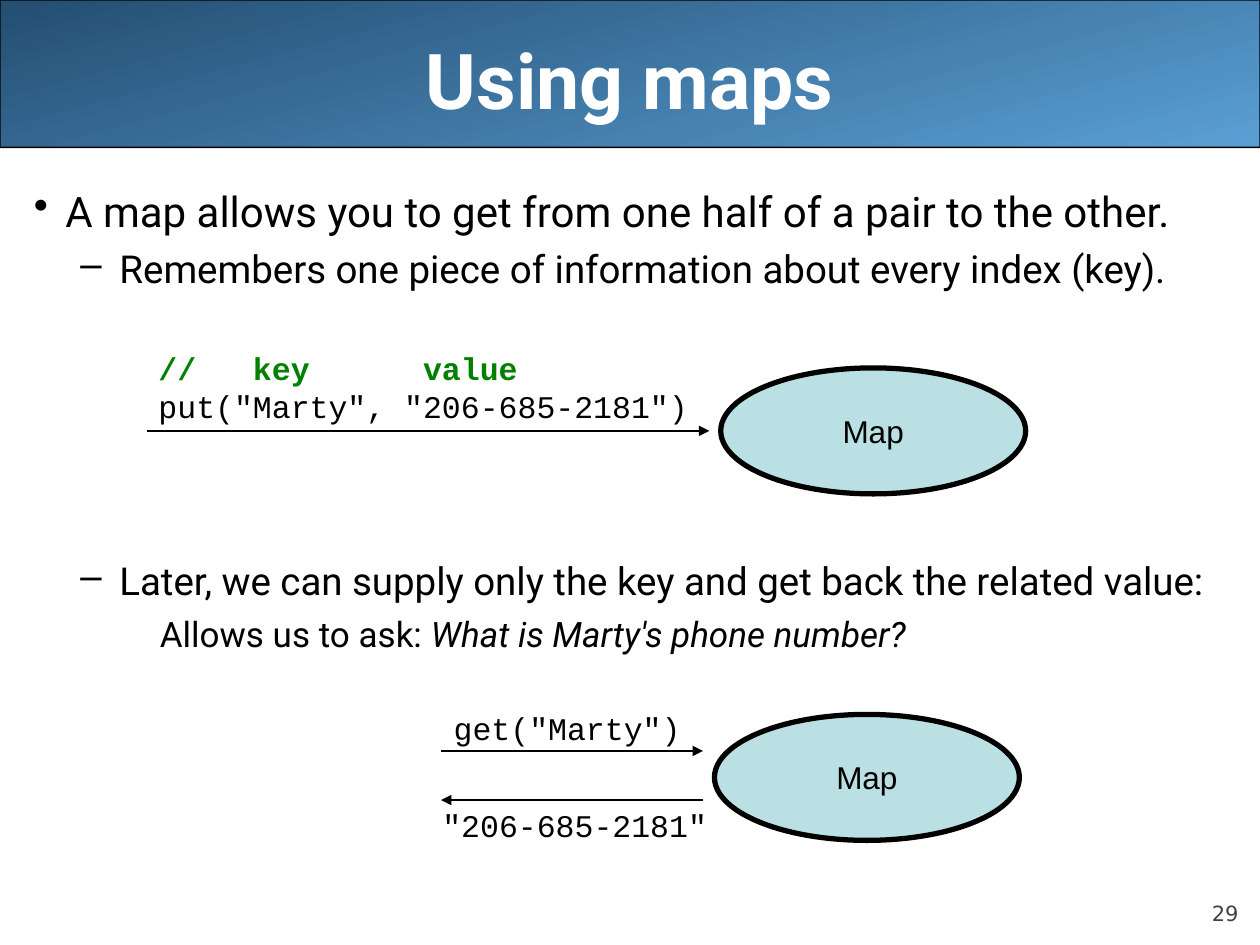
"""Build the "Using maps" lecture slide."""
from dataclasses import dataclass

from lxml import etree
from pptx import Presentation
from pptx.dml.color import RGBColor
from pptx.enum.shapes import MSO_CONNECTOR, MSO_SHAPE
from pptx.enum.text import MSO_ANCHOR, MSO_AUTO_SIZE, PP_ALIGN
from pptx.oxml.ns import qn
from pptx.util import Inches, Pt

ELLIPSE, ROUNDED = MSO_SHAPE.OVAL, MSO_SHAPE.ROUNDED_RECTANGLE
STRAIGHT = MSO_CONNECTOR.STRAIGHT
TOP, MIDDLE, BOTTOM = MSO_ANCHOR.TOP, MSO_ANCHOR.MIDDLE, MSO_ANCHOR.BOTTOM
LEFT, CENTER, RIGHT = PP_ALIGN.LEFT, PP_ALIGN.CENTER, PP_ALIGN.RIGHT
GROW = MSO_AUTO_SIZE.SHAPE_TO_FIT_TEXT


@dataclass(frozen=True)
class Theme:
    ink: str = "000000"
    white: str = "FFFFFF"
    grey: str = "424242"
    comment: str = "008000"
    map_fill: str = "BBE0E3"
    banner: tuple = ("244E72", "5A9FD4")
    body_font: str = "Roboto"
    code_font: str = "Courier New"
    map_font: str = "Arial"
    number_font: str = "DejaVu Sans"
    title_size: int = 44
    body_sizes: tuple = (24, 22, 20)
    label_size: int = 18
    number_size: int = 12
    thin: float = 0.75
    thick: float = 3


def add_span(para, text, *, font, size, color, bold=False, italic=False):
    span = para.add_run()
    span.text = text
    span.font.name, span.font.size = font, Pt(size)
    span.font.bold, span.font.italic = bold, italic
    span.font.color.rgb = RGBColor.from_string(color)


def add_child(parent, tag, **attributes):
    return etree.SubElement(parent, qn(tag), attributes)


class SlideBuilder:
    def __init__(self, page, theme):
        self.page, self.theme = page, theme

    def shape(self, kind, left, top, width, height, line_width):
        shape = self.page.shapes.add_shape(
            kind, Inches(left), Inches(top), Inches(width), Inches(height))
        shape.shadow.inherit = False
        shape.line.color.rgb = RGBColor.from_string(self.theme.ink)
        shape.line.width = Pt(line_width)
        return shape

    def banner(self, width, height):
        banner = self.shape(ROUNDED, 0, 0, width, height, self.theme.thin)
        banner.adjustments[0] = 0.001
        banner.fill.gradient()
        banner.fill.gradient_angle = 285
        for stop, color in zip(banner.fill.gradient_stops, self.theme.banner):
            stop.color.rgb = RGBColor.from_string(color)

    def map_ellipse(self, left, top):
        ellipse = self.shape(ELLIPSE, left, top, 2.42, 1, self.theme.thick)
        ellipse.fill.solid()
        ellipse.fill.fore_color.rgb = RGBColor.from_string(self.theme.map_fill)
        frame = ellipse.text_frame
        frame.word_wrap, frame.vertical_anchor = False, MIDDLE
        para = frame.paragraphs[0]
        para.alignment = CENTER
        add_span(para, "Map", font=self.theme.map_font,
                 size=self.theme.label_size, color=self.theme.ink)

    def arrow(self, start, end, y):
        arrow = self.page.shapes.add_connector(
            STRAIGHT, Inches(start), Inches(y), Inches(end), Inches(y))
        arrow.line.color.rgb = RGBColor.from_string(self.theme.ink)
        arrow.line.width = Pt(self.theme.thin)
        add_child(arrow.line._get_or_add_ln(), "a:tailEnd", type="triangle")
        add_child(arrow._element.spPr, "a:effectLst")

    def text_box(self, left, top, width, height, anchor=TOP, wrap=True):
        box = self.page.shapes.add_textbox(
            Inches(left), Inches(top), Inches(width), Inches(height))
        frame = box.text_frame
        frame.word_wrap, frame.vertical_anchor = wrap, anchor
        return frame

    def line_of_text(self, frame, text, align, **style):
        para = frame.paragraphs[0]
        para.alignment = align
        add_span(para, text, **style)

    def code(self, left, top, width, lines, align=RIGHT, tabs=()):
        frame = self.text_box(left, top, width, 0.1 + 0.3 * len(lines), wrap=False)
        frame.auto_size = GROW
        for index, (text, color, bold) in enumerate(lines):
            para = frame.add_paragraph() if index else frame.paragraphs[0]
            para.alignment = align
            if "\t" in text:
                tab_list = add_child(para._p.get_or_add_pPr(), "a:tabLst")
                for tab in tabs:
                    add_child(tab_list, "a:tab", pos=str(Inches(tab)), algn="l")
            add_span(para, text, font=self.theme.code_font,
                     size=self.theme.label_size, color=color, bold=bold)

    def body(self, frame, items):
        levels = ((0.25, -0.25, "•"), (0.68, -0.31, "–"), (1, 0, None))
        for index, (level, space, spans) in enumerate(items):
            para = frame.add_paragraph() if index else frame.paragraphs[0]
            para.level, para.space_before = level, Pt(space)
            margin, indent, bullet = levels[level]
            properties = para._p.get_or_add_pPr()
            properties.set("marL", str(Inches(margin)))
            properties.set("indent", str(Inches(indent)))
            if bullet:
                color = add_child(properties, "a:buClr")
                add_child(color, "a:srgbClr", val=self.theme.ink)
                add_child(properties, "a:buChar", char=bullet)
            for text, italic in spans:
                add_span(para, text, font=self.theme.body_font,
                         size=self.theme.body_sizes[level],
                         color=self.theme.ink, italic=italic)


def main():
    theme = Theme()
    deck = Presentation()
    deck.slide_width, deck.slide_height = Inches(10), Inches(7.5)
    builder = SlideBuilder(deck.slides.add_slide(deck.slide_layouts[6]), theme)

    builder.banner(10, 1.17)
    number = builder.text_box(9, 6.95, 0.83, 0.4, BOTTOM)
    number.margin_left = number.margin_right = 0
    number.margin_top = number.margin_bottom = 0
    builder.line_of_text(number, "29", RIGHT, font=theme.number_font,
                         size=theme.number_size, color=theme.grey)
    title = builder.text_box(0.5, 0, 9, 1.25, MIDDLE)
    builder.line_of_text(title, "Using maps", CENTER, font=theme.body_font,
                         size=theme.title_size, color=theme.white, bold=True)

    diagram_gap = 152
    builder.body(builder.text_box(0.17, 1.42, 9.83, 5.67), (
        (0, 6, [("A map allows you to get from one half of a pair to the other.", False)]),
        (1, 5.5, [("Remembers one piece of information about every index (key).", False)]),
        (1, diagram_gap,
         [("Later, we can supply only the key and get back the related value:", False)]),
        (2, 5, [("Allows us to ask: ", False), ("What is Marty's phone number?", True)]),
    ))

    builder.map_ellipse(5.72, 2.92)
    builder.arrow(1.17, 5.63, 3.42)
    builder.code(1.16, 2.72, 4.4, [
        ("//\tkey\tvalue", theme.comment, True),
        ('put("Marty", "206-685-2181")', theme.ink, False),
    ], LEFT, tabs=(0.75, 2.1))

    builder.map_ellipse(5.67, 5.67)
    builder.arrow(3.5, 5.58, 5.96)
    builder.code(3.5, 5.58, 2, [('get("Marty")', theme.ink, False)])
    builder.arrow(5.58, 3.5, 6.35)
    builder.code(3.41, 6.35, 2.3, [('"206-685-2181"', theme.ink, False)])

    deck.save("out.pptx")


if __name__ == "__main__":
    main()
